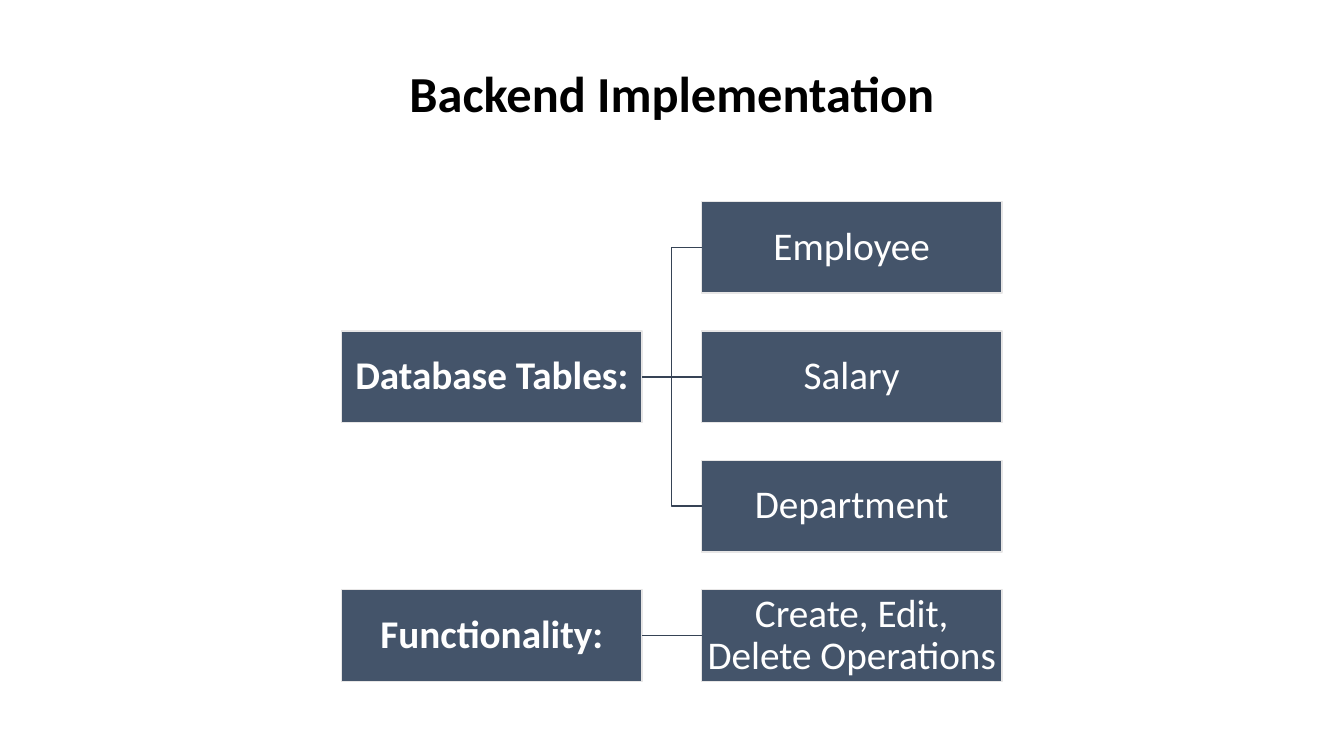
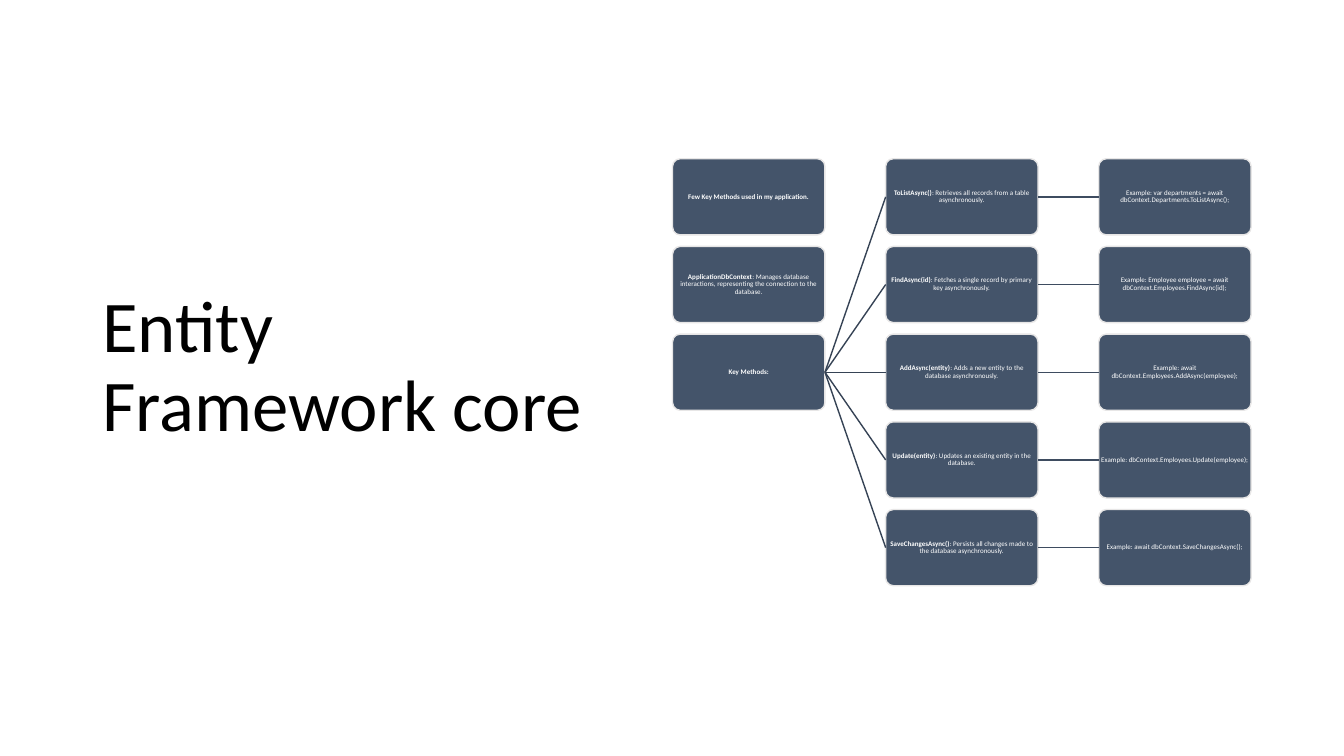
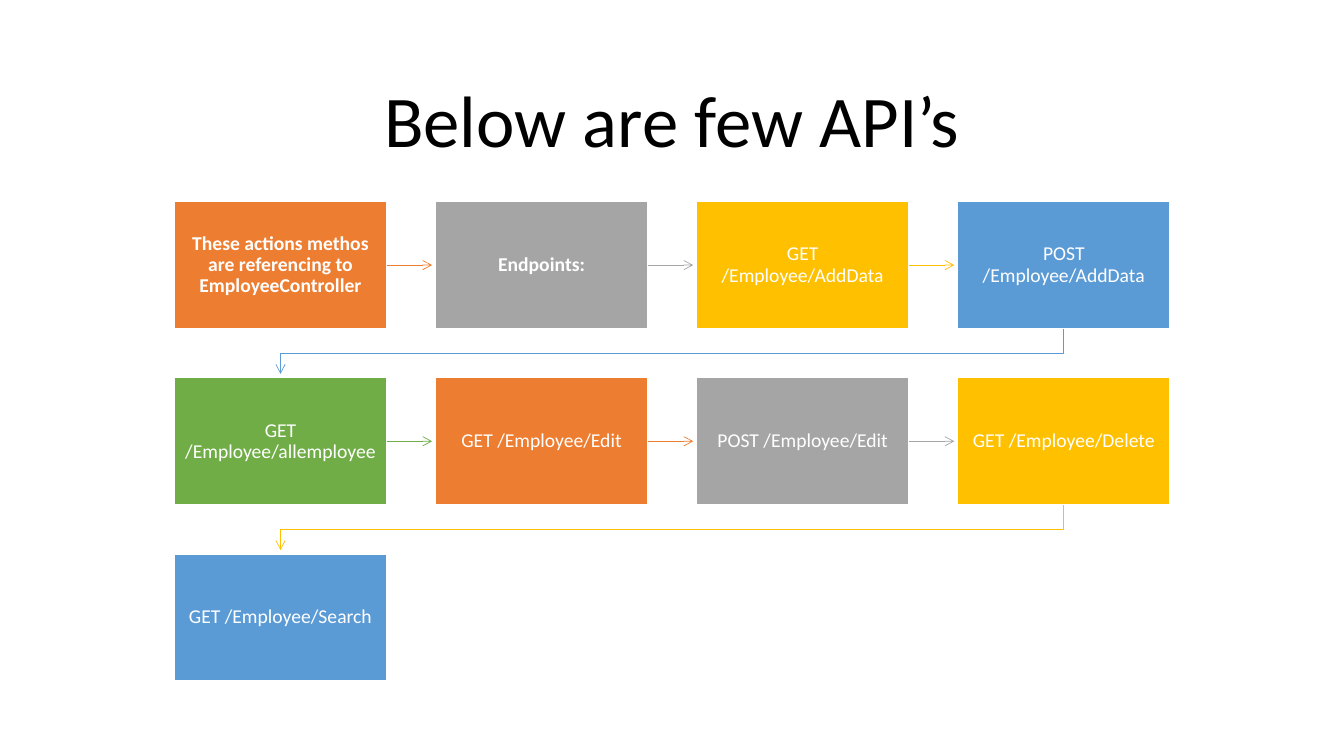
from lxml import etree
from pptx import Presentation
from pptx.dml.color import RGBColor
from pptx.enum.shapes import MSO_CONNECTOR, MSO_SHAPE
from pptx.enum.text import MSO_ANCHOR, MSO_AUTO_SIZE, PP_ALIGN
from pptx.oxml.ns import qn
from pptx.util import Cm, Pt

RECT, ROUND = MSO_SHAPE.RECTANGLE, MSO_SHAPE.ROUNDED_RECTANGLE
LINE, ELBOW = MSO_CONNECTOR.STRAIGHT, MSO_CONNECTOR.ELBOW
LEFT, MID = PP_ALIGN.LEFT, PP_ALIGN.CENTER
ANCHOR, FIXED = MSO_ANCHOR.MIDDLE, MSO_AUTO_SIZE.NONE
LEFT_SITE, RIGHT_SITE = 1, 3
TITLE_ONLY = 5


def rgb(code):
    return RGBColor.from_string(code)


class Deck:
    font = "Calibri"
    black, white = "000000", "FFFFFF"
    slate, edge = "44546A", "E7E6E6"
    dark, soft = "364355", "3E4C60"
    cycle = ["ED7D31", "A5A5A5", "FFC000", "5B9BD5", "70AD47"]

    def __init__(self):
        self.prs = Presentation()
        self.prs.slide_width, self.prs.slide_height = Cm(33.87), Cm(19.05)

    def label(self, shape, runs, size, color, align=MID, pad=(0.25, 0.13)):
        """Fill the shape with one paragraph of (text, bold) runs."""
        frame = shape.text_frame
        frame.auto_size = FIXED
        frame.word_wrap = True
        frame.vertical_anchor = ANCHOR
        frame.margin_left = frame.margin_right = Cm(pad[0])
        frame.margin_top = frame.margin_bottom = Cm(pad[1])
        para = frame.paragraphs[0]
        para.alignment = align
        para.line_spacing = 0.9
        for text, bold in runs:
            run = para.add_run()
            run.text = text
            run.font.name = self.font
            run.font.size = Pt(size)
            run.font.bold = bold
            run.font.color.rgb = rgb(color)

    def page(self, title, size=52, bold=False, align=MID, width=29.21, height=3.15):
        """Start a slide and return its title."""
        self.slide = self.prs.slides.add_slide(self.prs.slide_layouts[TITLE_ONLY])
        head = self.slide.shapes.title
        head.left, head.top = Cm(2.33), Cm(1.55)
        head.width, head.height = Cm(width), Cm(height)
        self.label(head, [(title, bold)], size, self.black, align)
        return head

    def box(self, x, y, w, h, runs, size, kind=RECT, fill=slate, edge=edge, pad=(0.05, 0.05)):
        shape = self.slide.shapes.add_shape(kind, Cm(x), Cm(y), Cm(w), Cm(h))
        shape.shadow.inherit = False
        if kind == ROUND:
            shape.adjustments[0] = 0.1
        shape.fill.solid()
        shape.fill.fore_color.rgb = rgb(fill)
        shape.line.color.rgb = rgb(edge)
        shape.line.width = Pt(1)
        self.label(shape, runs, size, self.white, pad=pad)
        return shape

    def stroke(self, shape, color, width, arrow):
        shape.line.color.rgb = rgb(color)
        shape.line.width = Pt(width)
        if arrow:
            line = shape._element.spPr.find(qn("a:ln"))
            etree.SubElement(line, qn("a:tailEnd"), type="arrow")

    def wire(self, kind, x1, y1, x2, y2, color, width=1, arrow=False):
        wire = self.slide.shapes.add_connector(kind, x1, y1, x2, y2)
        self.stroke(wire, color, width, arrow)
        etree.SubElement(wire._element.spPr, qn("a:effectLst"))
        return wire

    def link(self, a, b, color, kind=LINE):
        """Join the right side of a to the left side of b."""
        wire = self.wire(kind, a.left + a.width, a.top + a.height // 2,
                         b.left, b.top + b.height // 2, color)
        wire.begin_connect(a, RIGHT_SITE)
        wire.end_connect(b, LEFT_SITE)

    def bend(self, points, color, width):
        """Draw an open arrow through several points."""
        pen = self.slide.shapes.build_freeform(*points[0])
        pen.add_line_segments(points[1:], close=False)
        shape = pen.convert_to_shape()
        shape.shadow.inherit = False
        shape.fill.background()
        self.stroke(shape, color, width, True)


def backend(deck):
    head = deck.page("Backend Implementation", 36, True)
    head.text_frame.margin_bottom = Cm(1.52)

    def cell(col, row, text):
        return deck.box(8.61 + 9.07 * col, 5.08 + 3.26 * row, 7.57, 2.31,
                        [(text, col == 0)], 28)

    groups = [
        ("Database Tables:", 1, ["Employee", "Salary", "Department"]),
        ("Functionality:", 3, ["Create, Edit, Delete Operations"]),
    ]
    row = 0
    for name, level, items in groups:
        root = cell(0, level, name)
        for item in items:
            leaf = cell(1, row, item)
            deck.link(root, leaf, deck.dark, LINE if row == level else ELBOW)
            row += 1


def entity(deck):
    deck.page("Entity Framework core", align=LEFT, width=13.51, height=15.47)

    def cell(col, row, *runs):
        return deck.box(16.95 + 5.37 * col, 4 + 2.21 * row, 3.84, 1.92,
                        runs, 5, ROUND, pad=(0, 0))

    cell(0, 0, ("Few Key Methods used in my application.", True))
    cell(0, 1, ("ApplicationDbContext", True),
         (": Manages database interactions, representing the connection to the database.", False))
    root = cell(0, 2, ("Key Methods:", True))
    calls = [
        ("ToListAsync()", "Retrieves all records from a table asynchronously.",
         "var departments = await dbContext.Departments.ToListAsync();"),
        ("FindAsync(id)", "Fetches a single record by primary key asynchronously.",
         "Employee employee = await dbContext.Employees.FindAsync(id);"),
        ("AddAsync(entity)", "Adds a new entity to the database asynchronously.",
         "await dbContext.Employees.AddAsync(employee);"),
        ("Update(entity)", "Updates an existing entity in the database.",
         "dbContext.Employees.Update(employee);"),
        ("SaveChangesAsync()", "Persists all changes made to the database asynchronously.",
         "await dbContext.SaveChangesAsync();"),
    ]
    for row, (name, use, code) in enumerate(calls):
        call = cell(1, row, (name, True), (f": {use}", False))
        sample = cell(2, row, (f"Example: {code}", False))
        deck.link(root, call, deck.dark)
        deck.link(call, sample, deck.soft)


def routes(deck):
    deck.page("Below are few API’s")
    steps = [
        "These actions methos are referencing to EmployeeController", "Endpoints:",
        "GET /Employee/AddData", "POST /Employee/AddData",
        "GET /Employee/allemployee", "GET /Employee/Edit",
        "POST /Employee/Edit", "GET /Employee/Delete", "GET /Employee/Search",
    ]
    cols, wide, high = 4, 5.36, 3.2
    left, top, reach, thin = 4.39, 5.08, 1.14, 0.5
    for i, text in enumerate(steps):
        row, col = divmod(i, cols)
        x, y = left + 6.58 * col, top + 4.44 * row
        color = deck.cycle[i % len(deck.cycle)]
        deck.box(x, y, wide, high, [(text, i < 2)], 14,
                 fill=color, edge=deck.white, pad=(0.25, 0.28))
        if i == len(steps) - 1:
            continue
        if col < cols - 1:
            mid = Cm(y + high / 2)
            deck.wire(LINE, Cm(x + wide), mid, Cm(x + wide + reach), mid, color, thin, True)
        else:
            start, end = Cm(x + wide / 2), Cm(left + wide / 2)
            base, turn, tip = (Cm(y + high + d) for d in (0, 0.62, reach))
            deck.bend([(start, base), (start, turn), (end, turn), (end, tip)], color, thin)


def main():
    deck = Deck()
    for draw in (backend, entity, routes):
        draw(deck)
    deck.prs.save("out.pptx")


if __name__ == "__main__":
    main()
